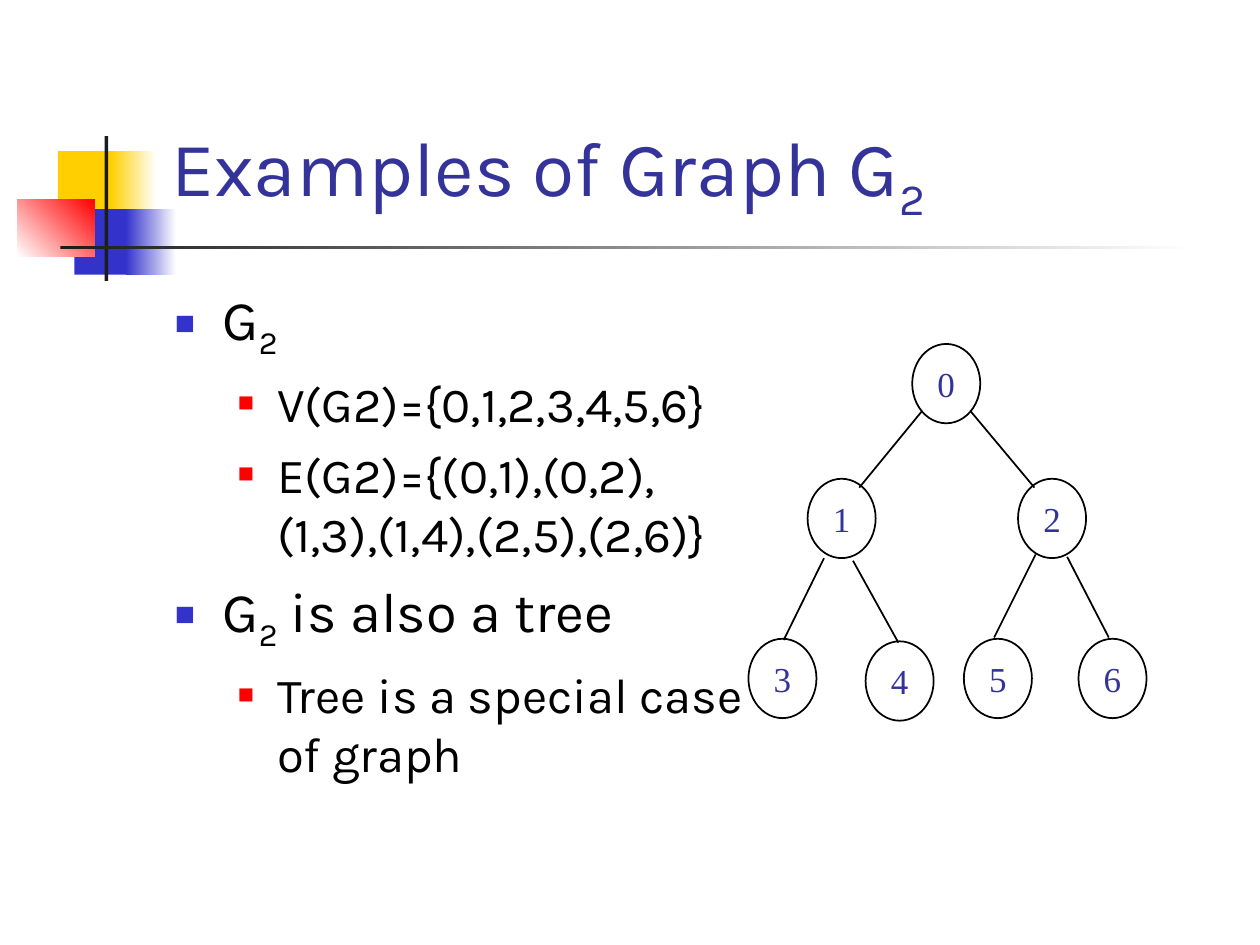
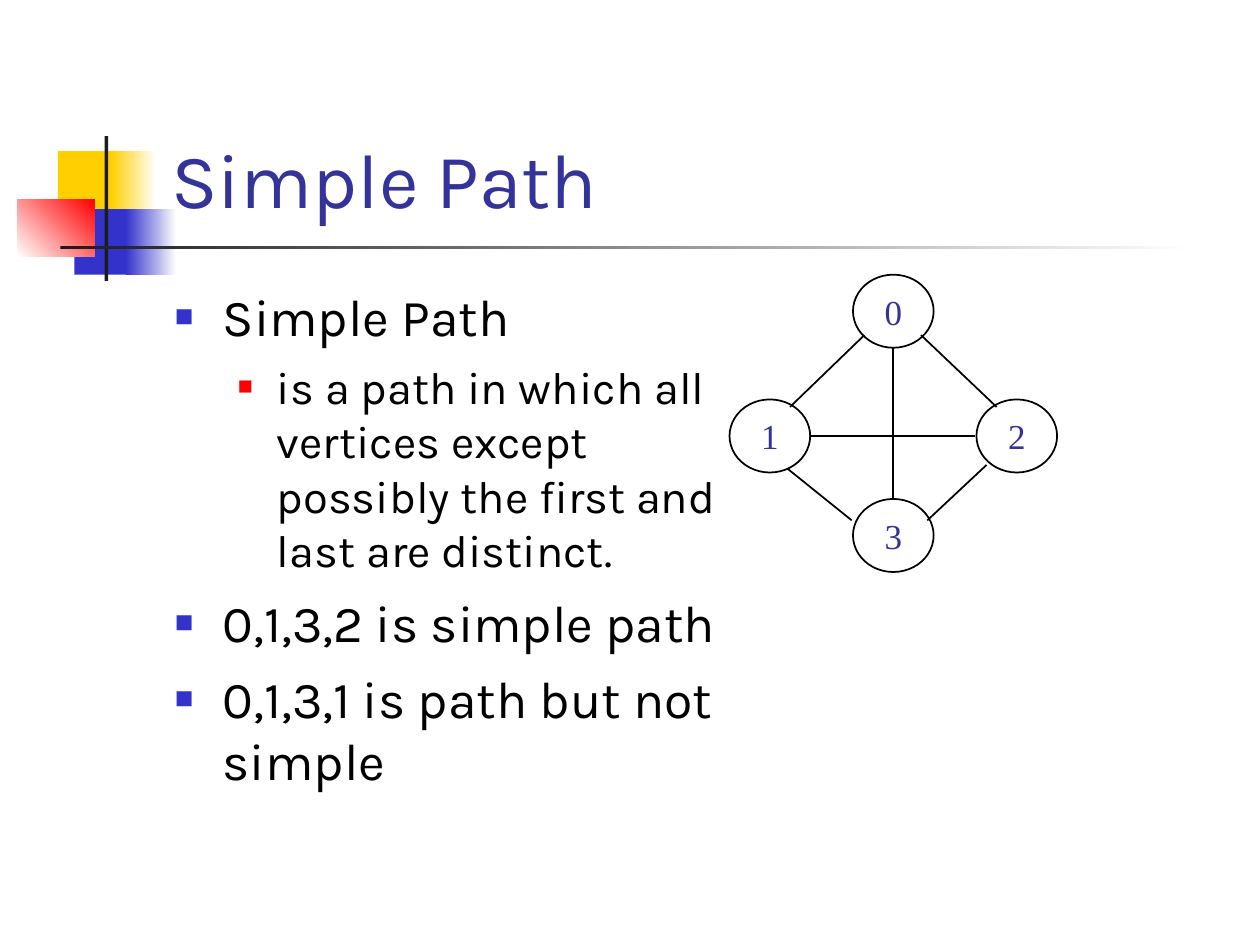
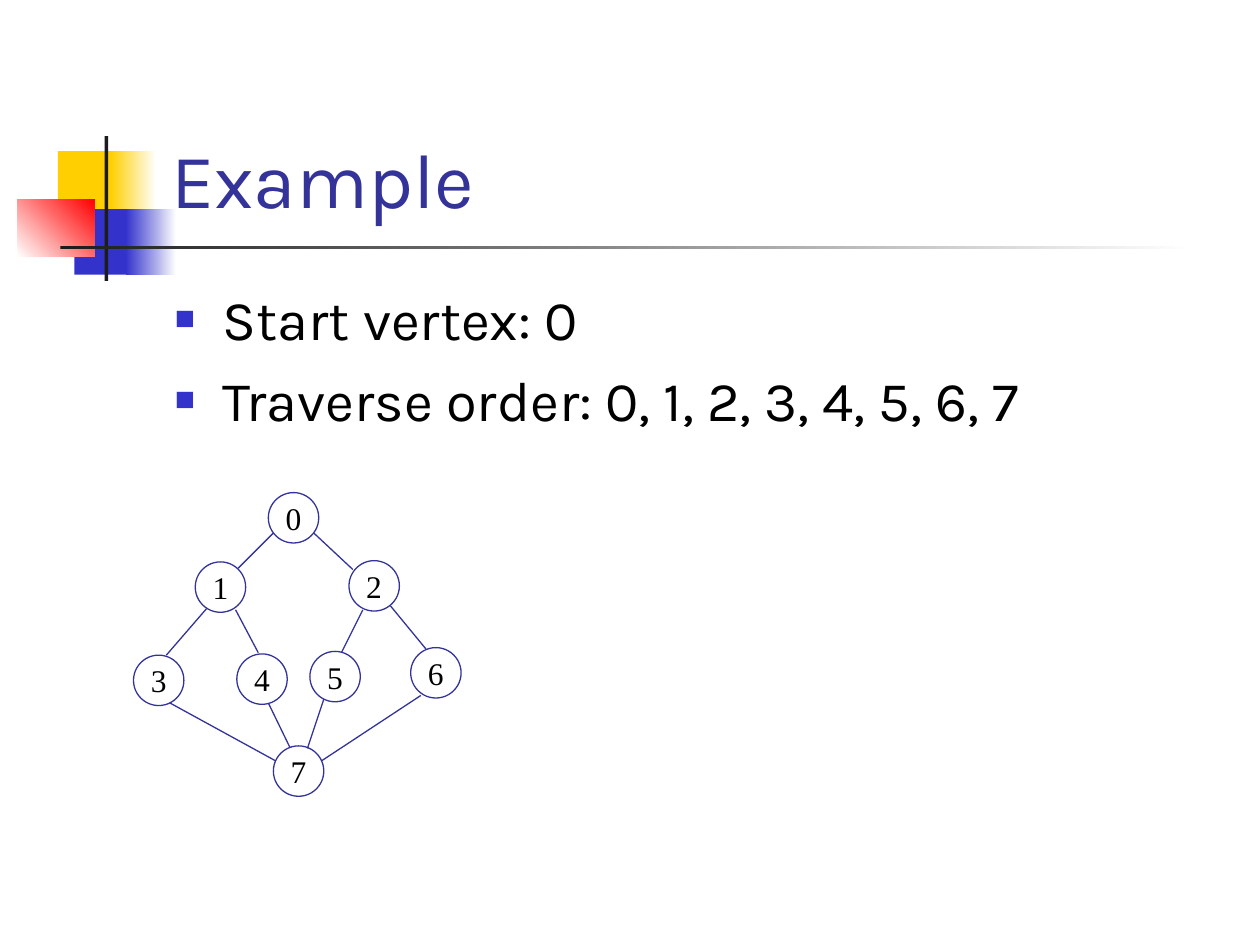
"""Build three slides on graphs: a tree, a simple path and a traversal example."""
from lxml import etree
from pptx import Presentation
from pptx.dml.color import RGBColor
from pptx.enum.shapes import MSO_CONNECTOR, MSO_SHAPE
from pptx.enum.text import MSO_ANCHOR, PP_ALIGN
from pptx.oxml.ns import qn
from pptx.util import Inches, Pt

RECTANGLE, ELLIPSE = MSO_SHAPE.RECTANGLE, MSO_SHAPE.OVAL
STRAIGHT = MSO_CONNECTOR.STRAIGHT
TOP, MIDDLE, BOTTOM = MSO_ANCHOR.TOP, MSO_ANCHOR.MIDDLE, MSO_ANCHOR.BOTTOM
CENTER = PP_ALIGN.CENTER

BLACK, WHITE, INDIGO = "000000", "FFFFFF", "333399"
YELLOW, BLUE, RED, CHARCOAL = "FFCF01", "3333CC", "FF0000", "1C1C1C"
SANS, SERIF = "Karla", "Times New Roman"
SUBSCRIPT = "~"

DECORATION = [
    ((0.46, 1.2, 0.48, 0.52), [YELLOW], 0),
    ((0.88, 1.2, 0.36, 0.52), [YELLOW, WHITE], 0),
    ((0.59, 1.66, 0.46, 0.52), [BLUE], 0),
    ((1, 1.66, 0.4, 0.52), [BLUE, WHITE], 0),
    ((0.14, 1.58, 0.61, 0.46), [WHITE, RED], 45),
    ((0.83, 1.08, 0.03, 1.15), [CHARCOAL], 0),
    ((0.48, 1.95, 9, 0.03), [CHARCOAL, WHITE], 0),
]
TITLE_AREA = (1.26, 0.23, 8.52, 1.6)
BODY_LEFT, BODY_TOP, BODY_HEIGHT = 1.29, 2.21, 4.5
BULLETS = [
    {"margin": 0.38, "hang": 0.38, "before": 8, "color": BLUE, "percent": 60},
    {"margin": 0.81, "hang": 0.31, "before": 7, "color": RED, "percent": 55},
]
BOLD_GRAPH = {"fill": WHITE, "line": BLACK, "width": 1, "text": INDIGO, "size": 20}
THIN_GRAPH = {"fill": None, "line": INDIGO, "width": 0.75, "text": BLACK, "size": 18}

SLIDES = [
    {
        "title": "Examples of Graph G~2~",
        "body_width": 4.89,
        "sizes": (32, 28),
        "body": [
            (0, "G~2~"),
            (1, "V(G2)={0,1,2,3,4,5,6}"),
            (1, "E(G2)={(0,1),(0,2), (1,3),(1,4),(2,5),(2,6)}"),
            (0, "G~2~ is also a tree"),
            (1, "Tree is a special case of graph"),
        ],
        "style": BOLD_GRAPH,
        "node_size": (0.54, 0.63),
        "nodes": [(7.24, 2.73), (6.41, 3.8), (8.08, 3.8), (5.94, 5.07),
                  (6.87, 5.09), (7.65, 5.07), (8.56, 5.07)],
        "edges": [
            (7.32, 3.26, 6.82, 3.87), (7.7, 3.26, 8.21, 3.87),
            (6.54, 4.43, 6.22, 5.08), (6.77, 4.45, 7.13, 5.1),
            (8.22, 4.4, 7.89, 5.06), (8.47, 4.42, 8.8, 5.06),
        ],
    },
    {
        "title": "Simple Path",
        "body_width": 4.7,
        "sizes": (29.6, 25.9),
        "body": [
            (0, "Simple Path"),
            (1, "is a path in which all vertices except possibly the first "
                "and last are distinct."),
            (0, "0,1,3,2 is simple path"),
            (0, "0,1,3,1 is path but not simple"),
        ],
        "style": BOLD_GRAPH,
        "node_size": (0.64, 0.58),
        "nodes": [(6.77, 2.18), (5.79, 3.17), (7.75, 3.17), (6.77, 3.96)],
        "edges": [
            (7.09, 2.76, 7.09, 3.95), (6.43, 3.46, 7.74, 3.46),
            (6.86, 2.66, 6.27, 3.23), (7.31, 2.66, 7.91, 3.23),
            (6.25, 3.72, 6.76, 4.13), (7.83, 3.69, 7.36, 4.13),
        ],
    },
    {
        "title": "Example",
        "body_width": 8.5,
        "sizes": (32, 28),
        "body": [
            (0, "Start vertex: 0"),
            (0, "Traverse order: 0, 1, 2, 3, 4, 5, 6, 7"),
        ],
        "style": THIN_GRAPH,
        "node_size": (0.4, 0.4),
        "nodes": [(2.13, 3.91), (1.55, 4.46), (2.77, 4.45), (1.06, 5.2),
                  (1.88, 5.19), (2.46, 5.17), (3.26, 5.14), (2.17, 5.92)],
        "edges": [
            (2.17, 4.23, 1.89, 4.51), (2.49, 4.23, 2.8, 4.52),
            (1.64, 4.83, 1.32, 5.2), (1.87, 4.84, 2.05, 5.18),
            (2.88, 4.84, 2.71, 5.18), (3.1, 4.81, 3.38, 5.15),
            (2.13, 5.58, 2.3, 5.93), (2.57, 5.55, 2.44, 5.94),
            (1.35, 5.58, 2.19, 6.04), (3.34, 5.52, 2.55, 6.04),
        ],
    },
]


def rgb(value):
    return RGBColor.from_string(value)


def inches(values):
    return [Inches(value) for value in values]


def paint(shape, colors, angle=0):
    if not colors:
        shape.fill.background()
    elif len(colors) == 1:
        shape.fill.solid()
        shape.fill.fore_color.rgb = rgb(colors[0])
    else:
        shape.fill.gradient()
        shape.fill.gradient_angle = angle
        for stop, color in zip(shape.fill.gradient_stops, colors):
            stop.color.rgb = rgb(color)


def add_shape(page, kind, area, colors, angle=0):
    shape = page.shapes.add_shape(kind, *inches(area))
    shape.shadow.inherit = False
    shape.line.fill.background()
    paint(shape, colors, angle)
    return shape


def add_box(page, area, anchor):
    frame = page.shapes.add_textbox(*inches(area)).text_frame
    frame.word_wrap = True
    frame.vertical_anchor = anchor
    return frame


def write(para, text, color, **font_values):
    for index, part in enumerate(text.split(SUBSCRIPT)):
        if not part:
            continue
        span = para.add_run()
        span.text = part
        for name, value in font_values.items():
            setattr(span.font, name, value)
        span.font.color.rgb = rgb(color)
        if index % 2:
            span.font._element.set("baseline", "-25000")


def add_bullet(para, bullet):
    props = para._p.get_or_add_pPr()
    props.set("marL", str(Inches(bullet["margin"])))
    props.set("indent", str(-Inches(bullet["hang"])))
    color = etree.SubElement(props, qn("a:buClr"))
    etree.SubElement(color, qn("a:srgbClr"), val=bullet["color"])
    etree.SubElement(props, qn("a:buSzPct"), val=str(bullet["percent"] * 1000))
    etree.SubElement(props, qn("a:buFont"), typeface=SERIF)
    etree.SubElement(props, qn("a:buChar"), char="■")


def add_body(page, content):
    area = (BODY_LEFT, BODY_TOP, content["body_width"], BODY_HEIGHT)
    frame = add_box(page, area, TOP)
    for index, (level, text) in enumerate(content["body"]):
        para = frame.add_paragraph() if index else frame.paragraphs[0]
        para.level = level
        add_bullet(para, BULLETS[level])
        para.space_before = Pt(BULLETS[level]["before"] if index else 0)
        write(para, text, BLACK, name=SANS, size=Pt(content["sizes"][level]))


def add_graph(page, content):
    style = content["style"]
    fill = [style["fill"]] if style["fill"] else []
    for label, place in enumerate(content["nodes"]):
        node = add_shape(page, ELLIPSE, place + content["node_size"], fill)
        node.line.color.rgb = rgb(style["line"])
        node.line.width = Pt(style["width"])
        frame = node.text_frame
        frame.word_wrap = False
        frame.vertical_anchor = MIDDLE
        para = frame.paragraphs[0]
        para.alignment = CENTER
        write(para, str(label), style["text"], name=SERIF, size=Pt(style["size"]))
    for ends in content["edges"]:
        edge = page.shapes.add_connector(STRAIGHT, *inches(ends))
        edge.line.color.rgb = rgb(style["line"])
        edge.line.width = Pt(style["width"])
        etree.SubElement(edge._element.spPr, qn("a:effectLst"))


def add_page(deck, content):
    page = deck.slides.add_slide(deck.slide_layouts[6])
    for area, colors, angle in DECORATION:
        add_shape(page, RECTANGLE, area, colors, angle)
    title = add_box(page, TITLE_AREA, BOTTOM)
    write(title.paragraphs[0], content["title"], INDIGO, name=SANS, size=Pt(44))
    add_body(page, content)
    add_graph(page, content)


def main():
    deck = Presentation()
    deck.slide_width, deck.slide_height = inches((10, 7.5))
    for content in SLIDES:
        add_page(deck, content)
    deck.save("out.pptx")


if __name__ == "__main__":
    main()
